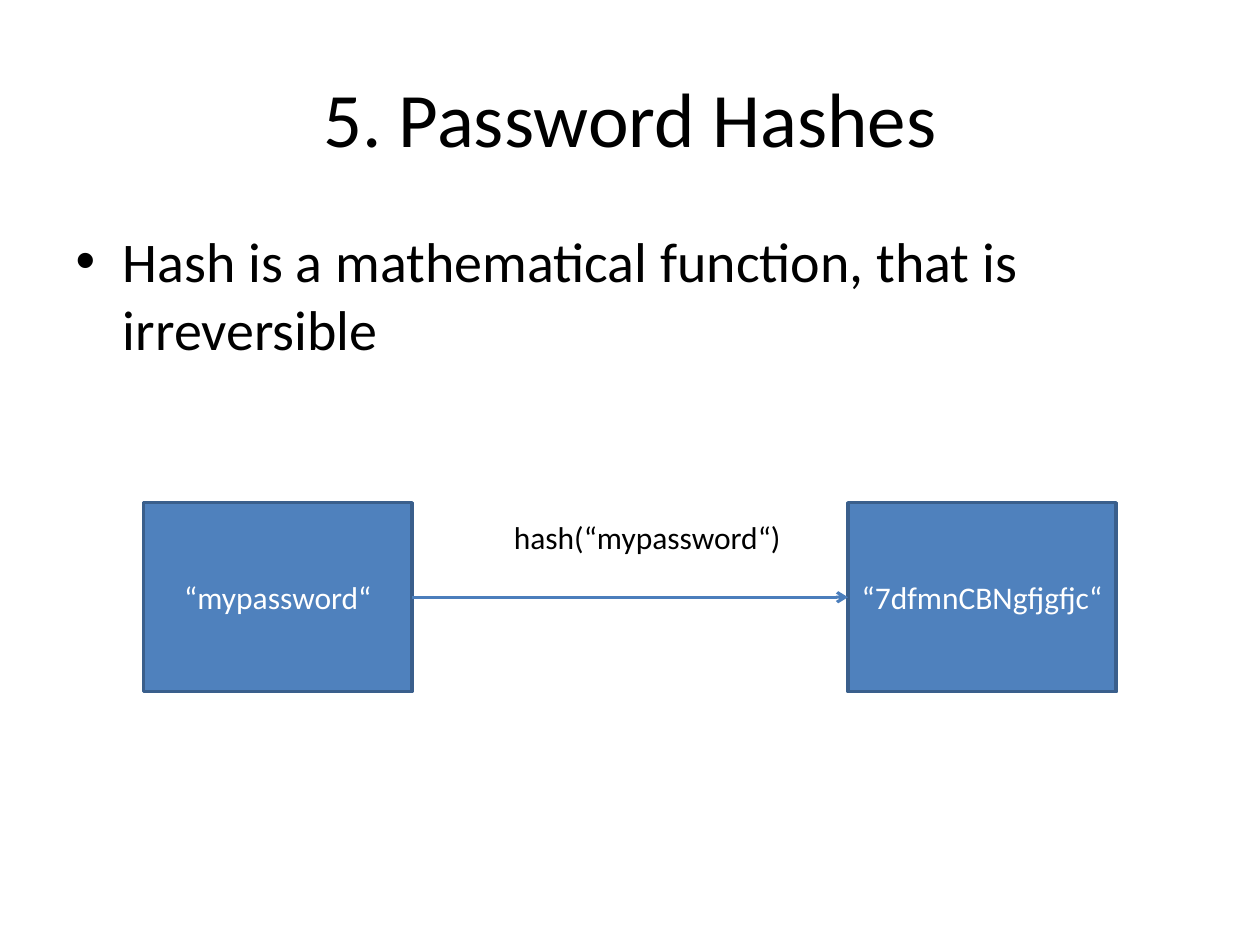
from pptx import Presentation
from pptx.dml.color import RGBColor
from pptx.enum.shapes import MSO_CONNECTOR, MSO_SHAPE
from pptx.enum.text import MSO_ANCHOR, MSO_AUTO_SIZE, PP_ALIGN
from pptx.oxml.ns import qn
from pptx.util import Inches, Pt
from lxml.etree import SubElement

BLACK = RGBColor(0x00, 0x00, 0x00)
WHITE = RGBColor(0xFF, 0xFF, 0xFF)
BOX_FILL = RGBColor(0x4F, 0x81, 0xBD)
BOX_LINE = RGBColor(0x3A, 0x5F, 0x8C)
ARROW_LINE = RGBColor(0x4B, 0x7E, 0xBC)


class SlideBuilder:
    font = "Calibri"

    def __init__(self, slide):
        self.slide = slide

    def set_text(self, shape, text, size, color, align, anchor):
        frame = shape.text_frame
        frame.text = text
        frame.vertical_anchor = anchor
        paragraph = frame.paragraphs[0]
        paragraph.alignment = align
        font = paragraph.runs[0].font
        font.name, font.size, font.color.rgb = self.font, Pt(size), color

    def placeholder(self, index, text, bounds, size, align, anchor):
        shape = self.slide.placeholders[index]
        shape.left, shape.top, shape.width, shape.height = map(Inches, bounds)
        self.set_text(shape, text, size, BLACK, align, anchor)

    def box(self, text, left, top, width, height):
        shape = self.slide.shapes.add_shape(
            MSO_SHAPE.RECTANGLE, *map(Inches, (left, top, width, height)))
        shape.shadow.inherit = False
        shape.fill.solid()
        shape.fill.fore_color.rgb = BOX_FILL
        shape.line.color.rgb = BOX_LINE
        shape.line.width = Pt(2)
        self.set_text(shape, text, 18, WHITE, PP_ALIGN.CENTER, MSO_ANCHOR.MIDDLE)
        return shape

    def arrow(self, source, target):
        connector = self.slide.shapes.add_connector(MSO_CONNECTOR.STRAIGHT, 0, 0, 0, 0)
        connector.begin_connect(source, 3)
        connector.end_connect(target, 1)
        connector.line.color.rgb = ARROW_LINE
        connector.line.width = Pt(1.75)
        properties = connector._element.spPr
        SubElement(properties.find(qn("a:ln")), qn("a:tailEnd"), type="arrow")
        SubElement(properties, qn("a:effectLst"))

    def label(self, text, left, top, width, height):
        shape = self.slide.shapes.add_textbox(*map(Inches, (left, top, width, height)))
        shape.text_frame.word_wrap = False
        shape.text_frame.auto_size = MSO_AUTO_SIZE.SHAPE_TO_FIT_TEXT
        self.set_text(shape, text, 18, BLACK, PP_ALIGN.LEFT, MSO_ANCHOR.TOP)


presentation = Presentation()
presentation.slide_width = Inches(10)
presentation.slide_height = Inches(7.5)
builder = SlideBuilder(presentation.slides.add_slide(presentation.slide_layouts[1]))

builder.placeholder(0, "5. Password Hashes", (0.5, 0.3, 9, 1.25), 44,
                    PP_ALIGN.CENTER, MSO_ANCHOR.MIDDLE)
builder.placeholder(1, "Hash is a mathematical function, that is irreversible",
                    (0.5, 1.75, 9, 4.95), 32, PP_ALIGN.LEFT, MSO_ANCHOR.TOP)

box_width, margin = 2.13, 1.14
password, digest = [
    builder.box(text, left, 3.99, box_width, 1.5)
    for text, left in (("“mypassword“", margin),
                       ("“7dfmnCBNgfjgfjc“", 10 - margin - box_width))
]
builder.arrow(password, digest)
builder.label("hash(“mypassword“)", 3.98, 4.06, 2.34, 0.4)

presentation.save("out.pptx")
